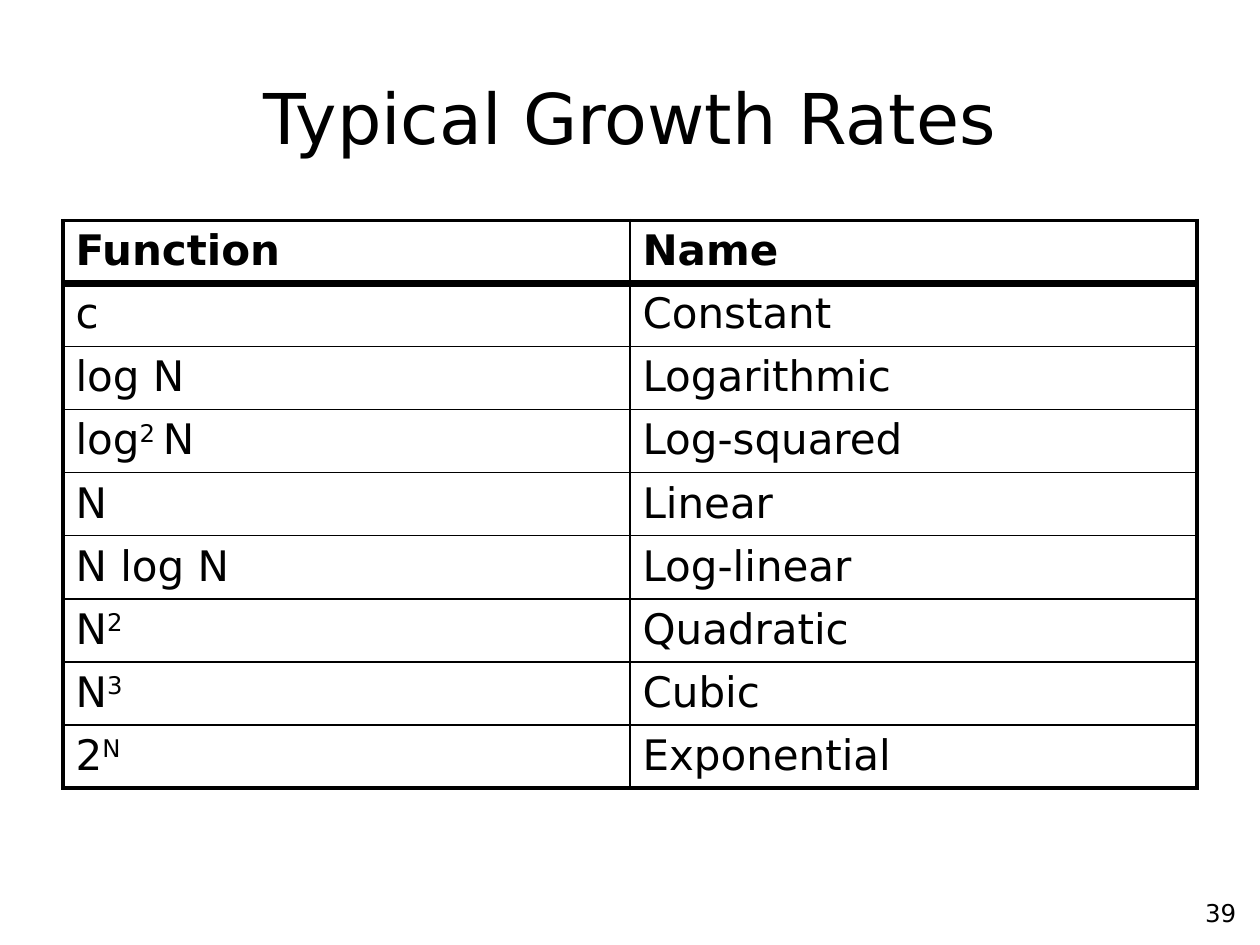
from dataclasses import dataclass

from lxml import etree
from pptx import Presentation
from pptx.dml.color import RGBColor
from pptx.enum import text
from pptx.oxml import ns
from pptx.util import Inches, Pt


@dataclass(frozen=True)
class Theme:
    font: str = "DejaVu Sans"
    ink: str = "000000"
    paper: str = "FFFFFF"
    title: int = 40
    body: int = 24
    number: int = 14
    thin: float = 1
    frame: float = 2.25
    header_rule: float = 4.5


@dataclass(frozen=True)
class Run:
    text: str
    raised: bool = False


@dataclass(frozen=True)
class Growth:
    function: tuple[Run, ...]
    name: str


THEME = Theme()
GROWTH_RATES = [
    Growth((Run("Function"),), "Name"),
    Growth((Run("c"),), "Constant"),
    Growth((Run("log N"),), "Logarithmic"),
    Growth((Run("log"), Run("2 ", True), Run("N")), "Log-squared"),
    Growth((Run("N"),), "Linear"),
    Growth((Run("N log N"),), "Log-linear"),
    Growth((Run("N"), Run("2", True)), "Quadratic"),
    Growth((Run("N"), Run("3", True)), "Cubic"),
    Growth((Run("2"), Run("N", True)), "Exponential"),
]


def add_runs(p, runs: tuple[Run, ...], size: int, bold: bool = False) -> None:
    for run in runs:
        r = p.add_run()
        r.text = run.text
        r.font.name = THEME.font
        r.font.size = Pt(size)
        r.font.bold = bold
        r.font.color.rgb = RGBColor.from_string(THEME.ink)
        if run.raised:
            r._r.get_or_add_rPr().set("baseline", "30000")


def add_label(s, box: tuple[float, ...], label: str, size: int, align, anchor) -> None:
    tf = s.shapes.add_textbox(*map(Inches, box)).text_frame
    tf.word_wrap = True
    tf.vertical_anchor = anchor
    p = tf.paragraphs[0]
    p.alignment = align
    add_runs(p, (Run(label),), size)


def set_borders(cell, widths: dict[str, float]) -> None:
    tc_pr = cell._tc.get_or_add_tcPr()
    for i, (side, width) in enumerate(widths.items()):
        ln = etree.Element(ns.qn(f"a:ln{side}"), w=str(Pt(width)))
        fill = etree.SubElement(ln, ns.qn("a:solidFill"))
        etree.SubElement(fill, ns.qn("a:srgbClr"), val=THEME.ink)
        tc_pr.insert(i, ln)


def add_growth_table(s, rows: list[Growth]) -> None:
    height = Inches(4.45)
    frame = s.shapes.add_table(len(rows), 2, Inches(0.5), Inches(1.75), Inches(9), height)
    table = frame.table
    rules = [THEME.frame, THEME.header_rule]
    rules += [THEME.thin] * (len(rows) - 2) + [THEME.frame]
    edges = [THEME.frame, THEME.thin, THEME.frame]
    for i, growth in enumerate(rows):
        table.rows[i].height = height // len(rows)
        for j, runs in enumerate((growth.function, (Run(growth.name),))):
            cell = table.cell(i, j)
            cell.fill.solid()
            cell.fill.fore_color.rgb = RGBColor.from_string(THEME.paper)
            add_runs(cell.text_frame.paragraphs[0], runs, THEME.body, bold=i == 0)
            set_borders(cell, {"L": edges[j], "R": edges[j + 1],
                               "T": rules[i], "B": rules[i + 1]})


def main() -> None:
    prs = Presentation()
    prs.slide_width, prs.slide_height = Inches(10), Inches(7.5)
    s = prs.slides.add_slide(prs.slide_layouts[6])
    add_label(s, (7.83, 7.08, 2.08, 0.37), "39", THEME.number,
              text.PP_ALIGN.RIGHT, text.MSO_ANCHOR.TOP)
    add_label(s, (0.5, 0.3, 9, 1.25), "Typical Growth Rates", THEME.title,
              text.PP_ALIGN.CENTER, text.MSO_ANCHOR.MIDDLE)
    add_growth_table(s, GROWTH_RATES)
    prs.save("out.pptx")


if __name__ == "__main__":
    main()
